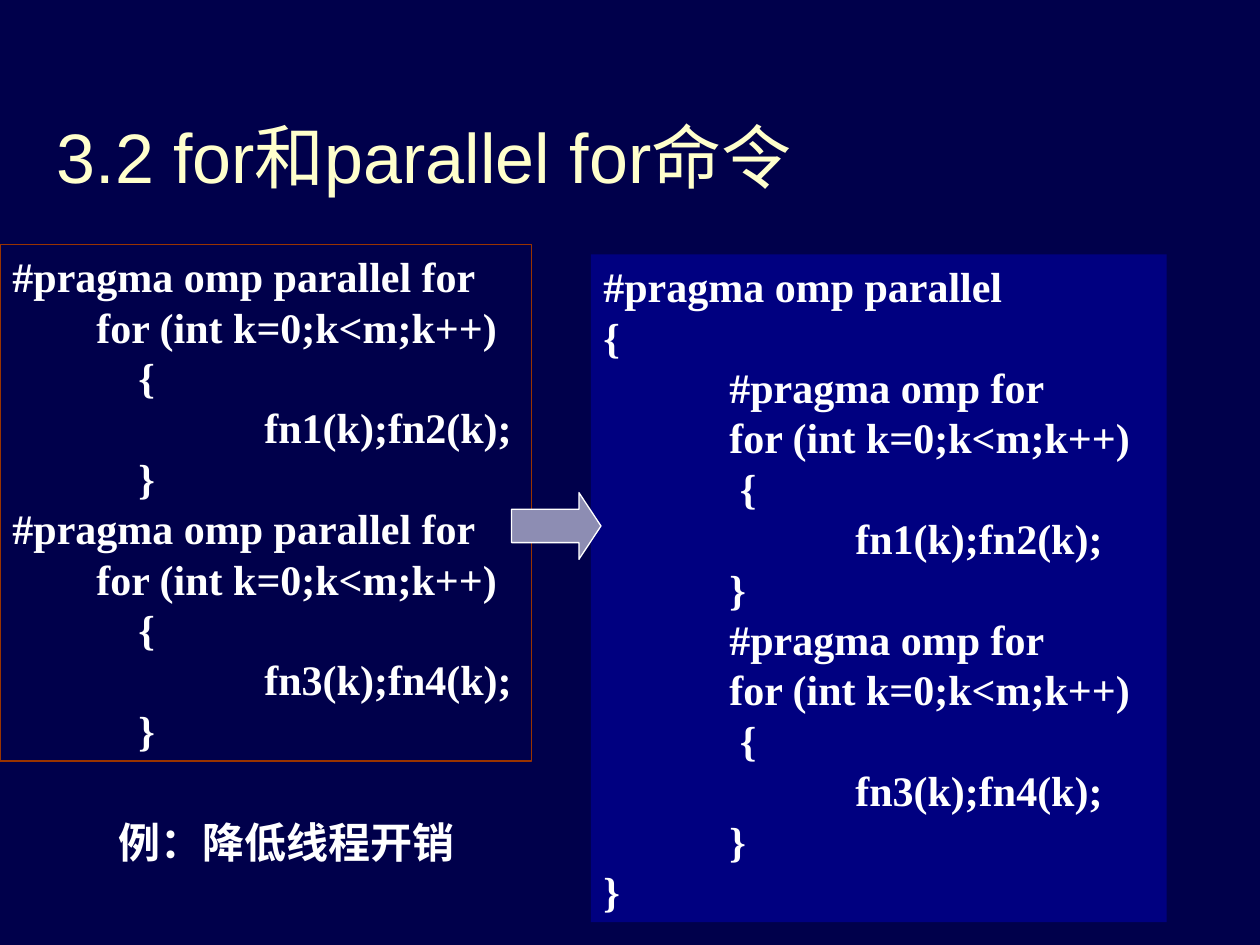
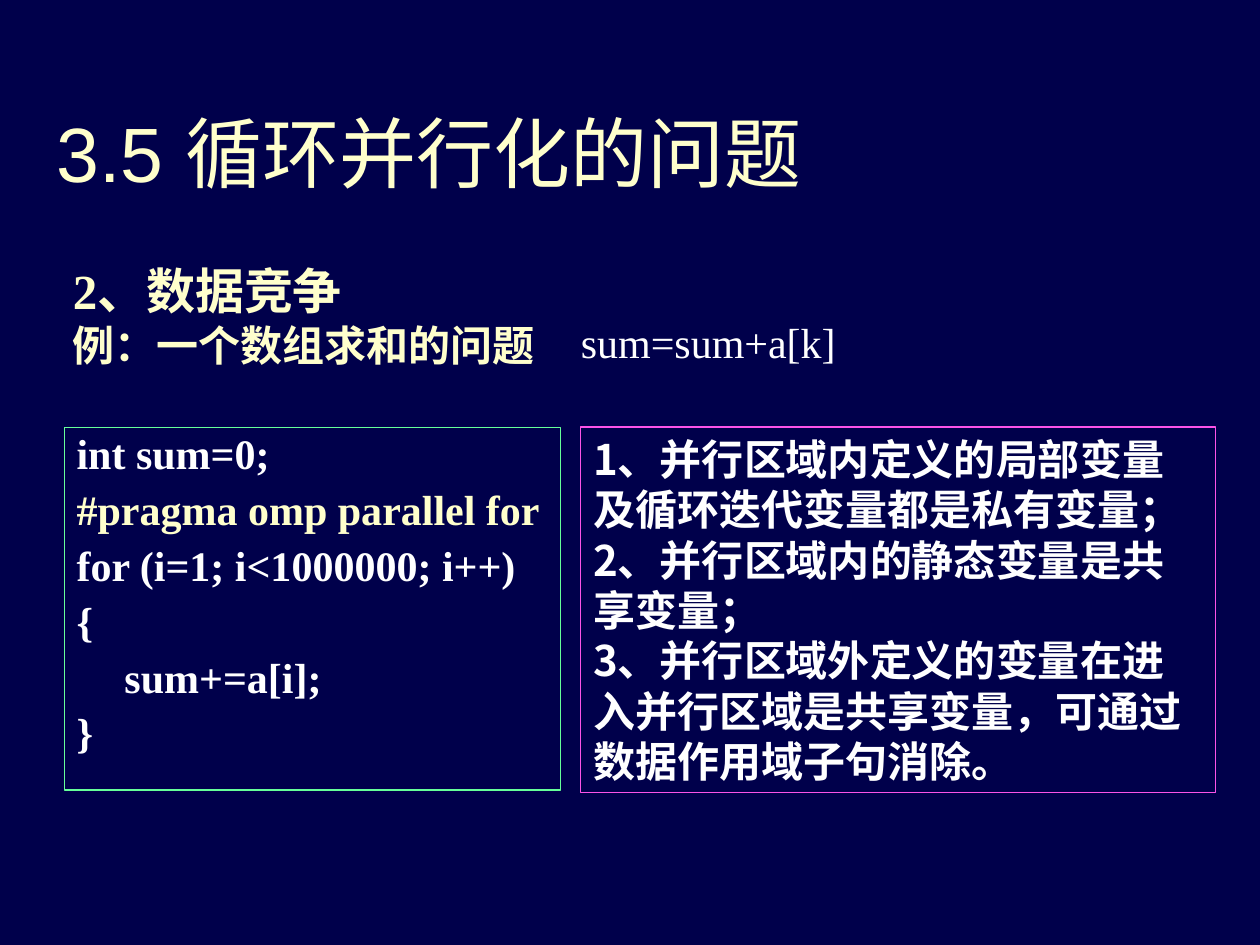
from dataclasses import dataclass, replace
from typing import NamedTuple, Optional

from lxml.etree import SubElement
from pptx import Presentation
from pptx.dml.color import RGBColor as Rgb
from pptx.enum.shapes import MSO_SHAPE as Kind
from pptx.enum.text import MSO_ANCHOR as Anchor, MSO_AUTO_SIZE as Fit, PP_ALIGN as Align
from pptx.oxml.ns import qn
from pptx.util import Emu, Inches, Pt


# Colours, fonts and type sizes
@dataclass(frozen=True)
class Theme:
    back: str = "00004B"
    panel: str = "000080"
    arrow: str = "8D8DB3"
    white: str = "FFFFFF"
    cream: str = "FFFFCC"
    rust: str = "993300"
    green: str = "66FF99"
    pink: str = "FB53E7"
    serif: str = "Times New Roman"
    sans: str = "Arial"
    han: str = "Noto Sans CJK SC"
    text: int = 24
    head: int = 28
    line: float = 0.75


THEME = Theme()

# The grid: square cells of a tenth of an inch
WIDE, HIGH = Inches(10), Inches(7.5)
COLS, ROWS = 100, 75
TABS = 8


class Box(NamedTuple):
    col: float
    row: float
    cols: float
    rows: float

    def place(self) -> tuple[Emu, Emu, Emu, Emu]:
        x, y = WIDE / COLS, HIGH / ROWS
        return (Emu(round(self.col * x)), Emu(round(self.row * y)),
                Emu(round(self.cols * x)), Emu(round(self.rows * y)))


@dataclass(frozen=True)
class Style:
    size: float = THEME.text
    color: str = THEME.white
    font: str = THEME.serif
    bold: bool = True
    hang: float = 0
    lead: Optional[float] = None
    gap: float = 0


class Line(NamedTuple):
    text: str
    style: Style = Style()


@dataclass(frozen=True)
class Panel:
    box: Box
    lines: list[Line]
    fill: Optional[str] = None
    edge: Optional[str] = None


@dataclass(frozen=True)
class Label:
    box: Box
    lines: list[Line]
    inset: bool = True


# Text
def write(frame, lines: list[Line]) -> None:
    frame.text = "\n".join(line.text for line in lines)
    for i, (para, line) in enumerate(zip(frame.paragraphs, lines)):
        style = line.style
        props = para._p.get_or_add_pPr()
        stops = SubElement(props, qn("a:tabLst"))
        for n in range(TABS):
            SubElement(stops, qn("a:tab"), pos=str(Inches(n)), algn="l")
        if style.hang:
            props.set("marL", str(Inches(style.hang)))
            props.set("indent", str(-Inches(style.hang)))
        para.alignment = Align.LEFT
        para.space_before = Pt(style.gap if i else 0)
        if style.lead:
            para.line_spacing = style.lead
        for run in para.runs:
            font = run.font
            font.size, font.bold, font.name = Pt(style.size), style.bold, style.font
            font.color.rgb = Rgb.from_string(style.color)
            SubElement(run._r.get_or_add_rPr(), qn("a:ea"), typeface=THEME.han)


# Shapes
def draw(slide, kind: Kind, box: Box, fill: Optional[str], edge: Optional[str]):
    shape = slide.shapes.add_shape(kind, *box.place())
    shape.shadow.inherit = False
    if fill:
        shape.fill.solid()
        shape.fill.fore_color.rgb = Rgb.from_string(fill)
    else:
        shape.fill.background()
    if edge:
        shape.line.color.rgb = Rgb.from_string(edge)
        shape.line.width = Pt(THEME.line)
    else:
        shape.line.fill.background()
    return shape


def add_panel(slide, panel: Panel) -> None:
    shape = draw(slide, Kind.RECTANGLE, panel.box, panel.fill, panel.edge)
    frame = shape.text_frame
    frame.word_wrap, frame.vertical_anchor = True, Anchor.TOP
    write(frame, panel.lines)


def add_label(slide, label: Label) -> None:
    frame = slide.shapes.add_textbox(*label.box.place()).text_frame
    frame.word_wrap, frame.auto_size = True, Fit.NONE
    if not label.inset:
        frame.margin_left = frame.margin_right = 0
        frame.margin_top = frame.margin_bottom = 0
    write(frame, label.lines)


def add_page(deck, title: str, size: float, rows: float):
    slide = deck.slides.add_slide(deck.slide_layouts[5])
    head = slide.shapes.title
    base = 16.2
    head.left, head.top, head.width, head.height = Box(3.5, base - rows, 94.5, rows).place()
    frame = head.text_frame
    frame.word_wrap, frame.auto_size = True, Fit.NONE
    frame.vertical_anchor = Anchor.BOTTOM
    write(frame, [Line(title, Style(size, THEME.cream, THEME.sans, False))])
    return slide


# Slide 1: two parallel loops merged into one region
def split_loop(body: str) -> list[str]:
    return ["#pragma omp parallel for", "        for (int k=0;k<m;k++)",
            "\t{", f"\t\t{body}", "\t}"]


def joint_loop(body: str) -> list[str]:
    return ["\t#pragma omp for", "\tfor (int k=0;k<m;k++)",
            "\t {", f"\t\t{body}", "\t}"]


def merge_page(deck) -> None:
    slide = add_page(deck, "3.2 for和parallel for命令", 40, 7.7)
    calls = ["fn1(k);fn2(k);", "fn3(k);fn4(k);"]
    split = [Line(text) for call in calls for text in split_loop(call)]
    inner = [text for call in calls for text in joint_loop(call)]
    joint = [Line(text) for text in ["#pragma omp parallel", "{", *inner, "}"]]
    add_panel(slide, Panel(Box(0, 19.4, 42.2, 41), split, edge=THEME.rust))
    add_panel(slide, Panel(Box(46.9, 20.2, 45.7, 53), joint, fill=THEME.panel))
    arrow = draw(slide, Kind.RIGHT_ARROW, Box(40.6, 39.1, 7.1, 5.3), THEME.arrow, THEME.white)
    arrow.adjustments[0], arrow.adjustments[1] = 0.5, 0.33
    add_label(slide, Label(Box(8.4, 64.3, 30, 5), [Line("例：降低线程开销")]))


# Slide 2: a data race and the scope of variables
def race_page(deck) -> None:
    slide = add_page(deck, "3.5 循环并行化的问题", 44, 8.3)
    code = Style(hang=0.38, lead=0.9, gap=6)
    cream = Style(color=THEME.cream)
    rule = Style(font=THEME.han)
    top, right = 33.9, 46.1
    add_panel(slide, Panel(Box(5.1, top, 39.4, 28.8), [
        Line("int sum=0;", code),
        Line("#pragma omp parallel for", replace(code, color=THEME.cream)),
        Line("for (i=1; i<1000000; i++)", code),
        Line("{", code),
        Line("\tsum+=a[i];", code),
        Line("}", code),
    ], edge=THEME.green))
    add_label(slide, Label(Box(4.8, 20.2, 40, 9.7), [
        Line("2、数据竞争", replace(cream, size=THEME.head)),
        Line("例：一个数组求和的问题", cream),
    ]))
    add_label(slide, Label(Box(right, 25.1, 22, 4),
                           [Line("sum=sum+a[k]", Style(bold=False))], inset=False))
    add_panel(slide, Panel(Box(right, top, 50.4, 29), [
        Line("1、并行区域内定义的局部变量及循环迭代变量都是私有变量；", rule),
        Line("2、并行区域内的静态变量是共享变量；", rule),
        Line("3、并行区域外定义的变量在进入并行区域是共享变量，可通过数据作用域子句消除。", rule),
    ], edge=THEME.pink))


def main() -> None:
    deck = Presentation()
    deck.slide_width, deck.slide_height = WIDE, HIGH
    fill = deck.slide_master.background.fill
    fill.solid()
    fill.fore_color.rgb = Rgb.from_string(THEME.back)
    merge_page(deck)
    race_page(deck)
    deck.save("out.pptx")


if __name__ == "__main__":
    main()
